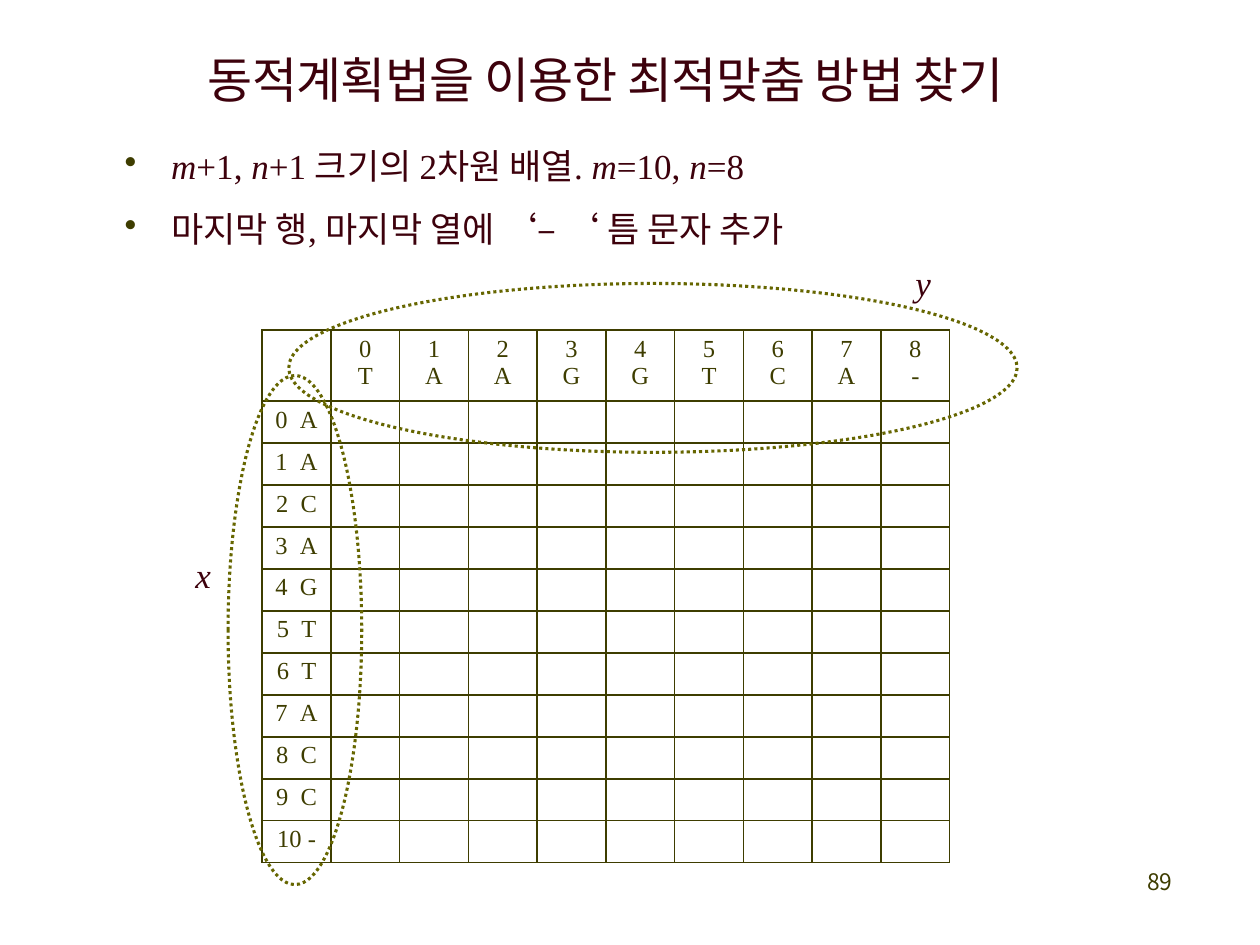
from dataclasses import dataclass

from lxml import etree
from pptx import Presentation
from pptx.dml.color import RGBColor
from pptx.enum.dml import MSO_LINE
from pptx.enum.shapes import MSO_SHAPE
from pptx.enum.text import MSO_ANCHOR, PP_ALIGN
from pptx.oxml.ns import qn
from pptx.util import Pt

OVAL = MSO_SHAPE.OVAL
SYS_DOT = MSO_LINE.ROUND_DOT
TOP = MSO_ANCHOR.TOP
LEFT, CENTER, RIGHT = PP_ALIGN.LEFT, PP_ALIGN.CENTER, PP_ALIGN.RIGHT


@dataclass(frozen=True)
class Theme:
    latin: str = "Times New Roman"
    korean: str = "Noto Sans CJK KR"
    heading: str = "3D010C"
    grid: str = "3E3D00"
    ring: str = "666600"
    title_size: float = 28
    body_size: float = 20
    cell_size: float = 14
    number_size: float = 13


@dataclass(frozen=True)
class Box:
    x: float
    y: float
    w: float
    h: float

    def emu(self) -> tuple:
        return Pt(self.x), Pt(self.y), Pt(self.w), Pt(self.h)


THEME = Theme()
COLUMN_SEQUENCE = "TAAGGTCA-"
ROW_SEQUENCE = "AACAGTTACC-"
TABLE = Box(149.8, 188.6, 393, 304.6)
HEADER_HEIGHT = 40.6
RINGS = [Box(130.3, 214.6, 76.4, 290.9), Box(165, 162, 416.2, 96.5)]
SIZE_LINE = [("m", True), ("+1, ", False), ("n", True), ("+1 크기의 2차원 배열. ", False),
             ("m", True), ("=10, ", False), ("n", True), ("=8", False)]
GAP_LINE = "마지막 행, 마지막 열에 ‘– ‘ 틈 문자 추가"


def add_text(p, text: str, *, size: float, color: str, font: str = THEME.latin,
             italic: bool = False, spacing: float = 0) -> None:
    r = p.add_run()
    r.text = text
    r.font.size = Pt(size)
    r.font.italic = italic
    r.font.name = font
    r.font.color.rgb = RGBColor.from_string(color)
    props = r.font._element
    etree.SubElement(props, qn("a:ea")).set("typeface", THEME.korean)
    if spacing:
        props.set("spc", str(round(spacing * 100)))


def set_frame(tf, top: float = 0, wrap: bool = True) -> None:
    tf.margin_left = tf.margin_right = tf.margin_bottom = 0
    tf.margin_top = Pt(top)
    tf.word_wrap = wrap
    tf.vertical_anchor = TOP


def add_box(s, box: Box, top: float = 0, wrap: bool = True):
    tf = s.shapes.add_textbox(*box.emu()).text_frame
    set_frame(tf, top, wrap)
    return tf


def add_bullet(p) -> None:
    props = p._p.get_or_add_pPr()
    props.set("marL", str(Pt(28)))
    props.set("indent", str(-Pt(26.6)))
    color = etree.SubElement(props, qn("a:buClr"))
    etree.SubElement(color, qn("a:srgbClr")).set("val", THEME.grid)
    etree.SubElement(props, qn("a:buChar")).set("char", "•")


def add_title(s) -> None:
    sp = s.shapes.title
    sp.left, sp.top, sp.width, sp.height = Box(118.8, 27.4, 506.2, 35.3).emu()
    set_frame(sp.text_frame, 0.7)
    p = sp.text_frame.paragraphs[0]
    p.alignment = LEFT
    add_text(p, "동적계획법을 이용한 최적맞춤 방법 찾기", size=THEME.title_size,
             color=THEME.heading, font=THEME.korean, spacing=-0.4)


def add_body(s) -> None:
    style = {"size": THEME.body_size, "color": THEME.heading}
    tf = add_box(s, Box(69.8, 69.8, 462.2, 104.4), 13)
    p = tf.paragraphs[0]
    add_bullet(p)
    for text, italic in SIZE_LINE:
        add_text(p, text, italic=italic, **style)
    p = tf.add_paragraph()
    add_bullet(p)
    p.space_before = Pt(12)
    add_text(p, GAP_LINE, **style)
    p = tf.add_paragraph()
    p.alignment = RIGHT
    p.space_before = Pt(6.7)
    add_text(p, "y", italic=True, **style)
    tf = add_box(s, Box(111.6, 315.4, 10.8, 25.9), 0.7, wrap=False)
    add_text(tf.paragraphs[0], "x", italic=True, **style)


def add_borders(cell) -> None:
    props = cell._tc.get_or_add_tcPr()
    for index, side in enumerate(("a:lnL", "a:lnR", "a:lnT", "a:lnB")):
        ln = etree.Element(qn(side), w=str(Pt(1)))
        fill = etree.SubElement(ln, qn("a:solidFill"))
        etree.SubElement(fill, qn("a:srgbClr")).set("val", THEME.grid)
        props.insert(index, ln)


def fill_cell(cell, lines: list[list[tuple[str, float]]]) -> None:
    cell.margin_left = cell.margin_right = cell.margin_bottom = 0
    cell.margin_top = Pt(3)
    cell.fill.background()
    add_borders(cell)
    tf = cell.text_frame
    tf.paragraphs[0].font.size = Pt(THEME.cell_size)
    for i, line in enumerate(lines):
        p = tf.add_paragraph() if i else tf.paragraphs[0]
        p.alignment = CENTER
        for text, spacing in line:
            add_text(p, text, size=THEME.cell_size, color=THEME.grid, spacing=spacing)


def cell_lines(row: int, col: int) -> list[list[tuple[str, float]]]:
    if row == 0 and col > 0:
        return [[(str(col - 1), -0.5)], [(COLUMN_SEQUENCE[col - 1], -0.5)]]
    if col == 0 and row > 0:
        gap = 3.5 if row <= 10 else 0
        return [[(str(row - 1), 0), (" ", gap), (ROW_SEQUENCE[row - 1], -0.5)]]
    return []


def add_matrix(s) -> None:
    rows, cols = len(ROW_SEQUENCE) + 1, len(COLUMN_SEQUENCE) + 1
    table = s.shapes.add_table(rows, cols, *TABLE.emu()).table
    table.first_row = table.horz_banding = False
    for column in table.columns:
        column.width = Pt(TABLE.w / cols)
    for i, row in enumerate(table.rows):
        row.height = Pt((TABLE.h - HEADER_HEIGHT) / (rows - 1) if i else HEADER_HEIGHT)
        for j, cell in enumerate(row.cells):
            fill_cell(cell, cell_lines(i, j))


def add_ring(s, box: Box) -> None:
    sp = s.shapes.add_shape(OVAL, *box.emu())
    sp.shadow.inherit = False
    sp.fill.background()
    sp.line.color.rgb = RGBColor.from_string(THEME.ring)
    sp.line.width = Pt(1.75)
    sp.line.dash_style = SYS_DOT


def main() -> None:
    prs = Presentation()
    prs.slide_width, prs.slide_height = Pt(720), Pt(540)
    s = prs.slides.add_slide(prs.slide_layouts[5])
    add_title(s)
    add_matrix(s)
    add_ring(s, RINGS[0])
    add_body(s)
    add_ring(s, RINGS[1])
    tf = add_box(s, Box(653, 496.8, 21.6, 15.1))
    tf.margin_left = Pt(2.7)
    p = tf.paragraphs[0]
    p.line_spacing = Pt(14.7)
    add_text(p, "89", size=THEME.number_size, color=THEME.grid,
             font=THEME.korean, spacing=-0.2)
    prs.save("out.pptx")


if __name__ == "__main__":
    main()
